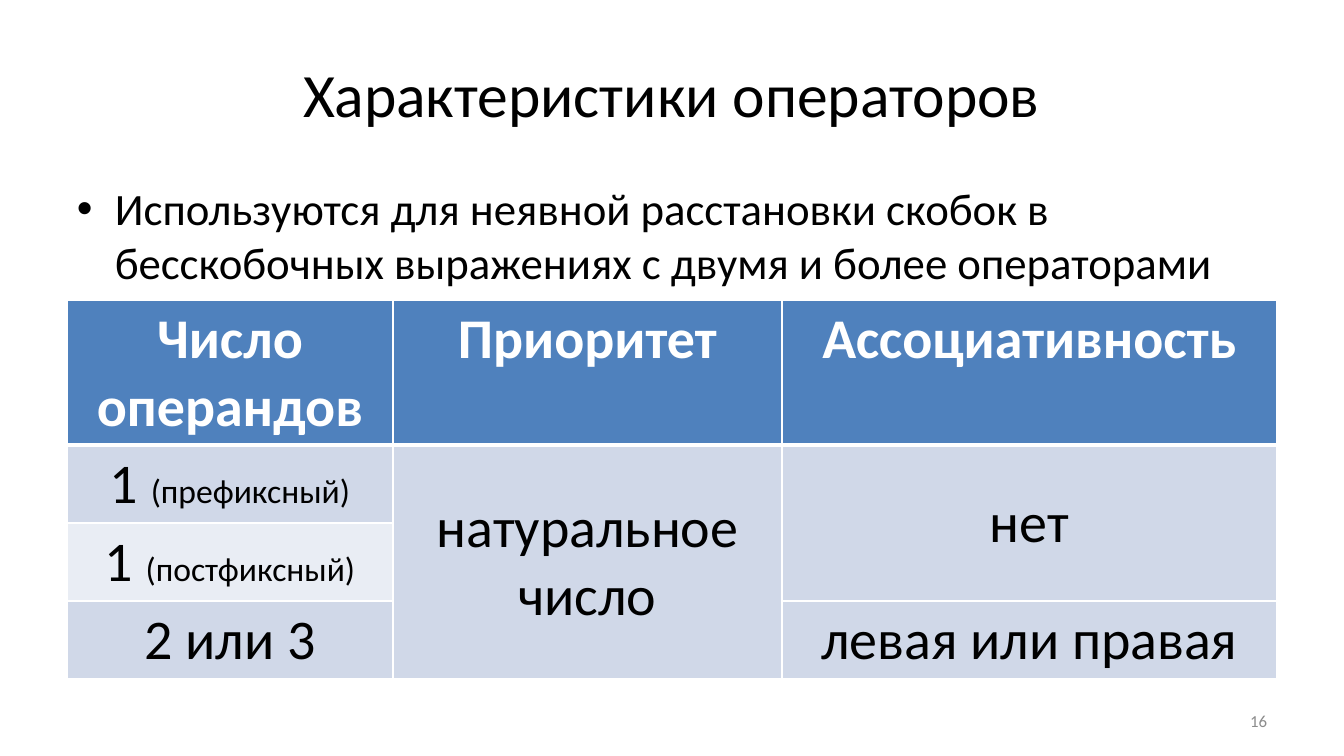
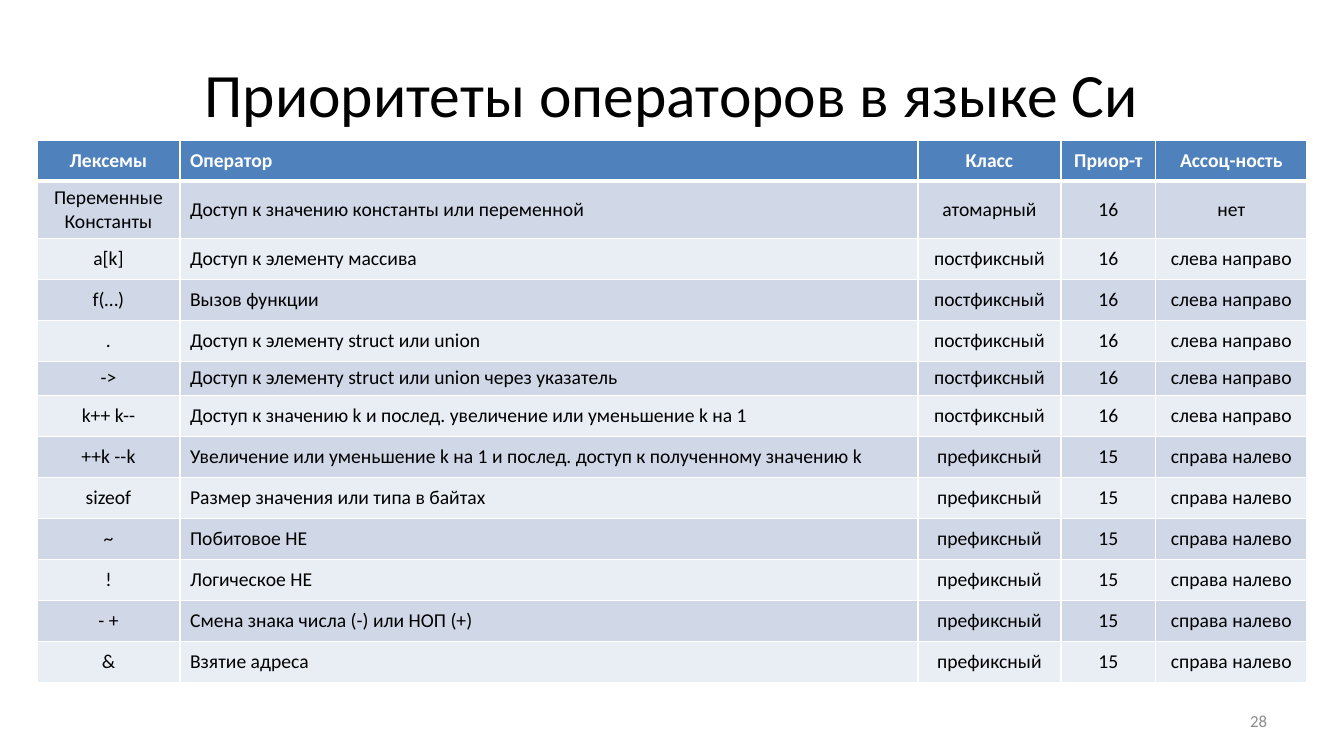
from pptx import Presentation
from pptx.dml.color import RGBColor
from pptx.enum.text import MSO_ANCHOR as ANCHOR, PP_ALIGN as ALIGN
from pptx.oxml.ns import qn
from pptx.util import Emu, Pt
from lxml.etree import SubElement

FONT = "Calibri"
BLACK, WHITE, GRAY, HEADER = "000000", "FFFFFF", "8C8C8C", "4F81BD"
BANDS = ("D0D8E8", "E9EDF4")
SLIDE_SIZE = (1344, 756)
TITLE_BOX = (67, 30, 1210, 126)
BODY_BOX = (67, 176, 1210, 499)
NUMBER_BOX = (964, 701, 313, 40)
BULLET_INDENT = 38

POSTFIX = ("постфиксный", "16", "слева направо")
PREFIX = ("префиксный", "15", "справа налево")

TRAITS = {
    "title": "Характеристики операторов",
    "body": "Используются для неявной расстановки скобок в бесскобочных "
            "выражениях с двумя и более операторами",
    "number": "16",
    "origin": (67, 300),
    "columns": (326, 389, 495),
    "row_heights": (145, 78, 78, 78),
    "size": 40,
    "note_size": 24,
    "header_anchor": ANCHOR.TOP,
    "left_columns": (),
    "merges": (((1, 1), (3, 1)), ((1, 2), (2, 2))),
    "rows": [
        ("Число операндов", "Приоритет", "Ассоциативность"),
        (("1 ", "(префиксный)"), "натуральное число", "нет"),
        (("1 ", "(постфиксный)"), None, None),
        ("2 или 3", None, "левая или правая"),
    ],
}
PRIORITIES = {
    "title": "Приоритеты операторов в языке Си",
    "body": None,
    "number": "28",
    "origin": (37, 140),
    "columns": (143, 738, 143, 95, 151),
    "row_heights": (41, 57, 41, 41, 41, 34) + (41,) * 7,
    "size": 14,
    "note_size": 14,
    "header_anchor": ANCHOR.MIDDLE,
    "left_columns": (1,),
    "merges": (),
    "rows": [
        ("Лексемы", "Оператор", "Класс", "Приор-т", "Ассоц-ность"),
        ("Переменные\nКонстанты", "Доступ к значению константы или переменной",
         "атомарный", "16", "нет"),
        ("a[k]", "Доступ к элементу массива", *POSTFIX),
        ("f(…)", "Вызов функции", *POSTFIX),
        (".", "Доступ к элементу struct или union", *POSTFIX),
        ("->", "Доступ к элементу struct или union через указатель", *POSTFIX),
        ("k++ k--", "Доступ к значению k и послед. увеличение или уменьшение k на 1", *POSTFIX),
        ("++k --k", "Увеличение или уменьшение k на 1 и послед. доступ к полученному значению k",
         *PREFIX),
        ("sizeof", "Размер значения или типа в байтах", *PREFIX),
        ("~", "Побитовое НЕ", *PREFIX),
        ("!", "Логическое НЕ", *PREFIX),
        ("- +", "Смена знака числа (-) или НОП (+)", *PREFIX),
        ("&", "Взятие адреса", *PREFIX),
    ],
}


def px(length):
    return Emu(round(length * 914400 / 100.8))


def rgb(color):
    return RGBColor.from_string(color)


def set_font(font, size, color, bold=False):
    for key, value in {"name": FONT, "size": Pt(size), "bold": bold}.items():
        setattr(font, key, value)
    font.color.rgb = rgb(color)


def add_text(slide, box, text, size, color, align, anchor=ANCHOR.MIDDLE):
    frame = slide.shapes.add_textbox(*map(px, box)).text_frame
    for key, value in {"word_wrap": True, "vertical_anchor": anchor}.items():
        setattr(frame, key, value)
    line = frame.paragraphs[0]
    line.alignment = align
    run = line.add_run()
    run.text = text
    set_font(run.font, size, color)
    return line


def add_bullet(line):
    props = line._p.get_or_add_pPr()
    props.set("marL", str(px(BULLET_INDENT)))
    props.set("indent", str(-px(BULLET_INDENT)))
    SubElement(props, qn("a:buFont"), typeface="Arial")
    SubElement(props, qn("a:buChar"), char="•")


def set_borders(cell, row):
    props = cell._tc.get_or_add_tcPr()
    widths = {"L": 1, "R": 1, "T": 3 if row == 1 else 1, "B": 3 if row == 0 else 1}
    for side, width in widths.items():
        edge = SubElement(props, qn(f"a:ln{side}"), w=str(Pt(width)))
        SubElement(SubElement(edge, qn("a:solidFill")), qn("a:srgbClr"), val=WHITE)


def fill_cell(cell, content, row, column, content_set):
    is_header = row == 0
    cell.fill.solid()
    cell.fill.fore_color.rgb = rgb(HEADER if is_header else BANDS[(row - 1) % 2])
    cell.vertical_anchor = content_set["header_anchor"] if is_header else ANCHOR.MIDDLE
    lines = [content] if isinstance(content, tuple) else [(text,) for text in content.split("\n")]
    frame = cell.text_frame
    for index, pieces in enumerate(lines):
        line = frame.add_paragraph() if index else frame.paragraphs[0]
        line.alignment = ALIGN.LEFT if column in content_set["left_columns"] else ALIGN.CENTER
        for text, size in zip(pieces, (content_set["size"], content_set["note_size"])):
            run = line.add_run()
            run.text = text
            set_font(run.font, size, WHITE if is_header else BLACK, is_header)


def add_grid(slide, content_set):
    rows, columns, heights = (content_set[key] for key in ("rows", "columns", "row_heights"))
    box = (*content_set["origin"], sum(columns), sum(heights))
    table = slide.shapes.add_table(len(rows), len(columns), *map(px, box)).table
    table.horz_banding = False
    for column, width in zip(table.columns, columns):
        column.width = px(width)
    for row, height in zip(table.rows, heights):
        row.height = px(height)
    for first, last in content_set["merges"]:
        table.cell(*first).merge(table.cell(*last))
    for r, contents in enumerate(rows):
        for c, content in enumerate(contents):
            cell = table.cell(r, c)
            set_borders(cell, r)
            if content is not None:
                fill_cell(cell, content, r, c, content_set)


def add_slide(deck, content_set):
    slide = deck.slides.add_slide(deck.slide_layouts[6])
    add_text(slide, TITLE_BOX, content_set["title"], 44, BLACK, ALIGN.CENTER)
    if content_set["body"]:
        add_bullet(add_text(slide, BODY_BOX, content_set["body"], 32, BLACK, ALIGN.LEFT, ANCHOR.TOP))
    add_grid(slide, content_set)
    add_text(slide, NUMBER_BOX, content_set["number"], 12, GRAY, ALIGN.RIGHT)


def main():
    deck = Presentation()
    deck.slide_width, deck.slide_height = map(px, SLIDE_SIZE)
    for content_set in (TRAITS, PRIORITIES):
        add_slide(deck, content_set)
    deck.save("out.pptx")


if __name__ == "__main__":
    main()
